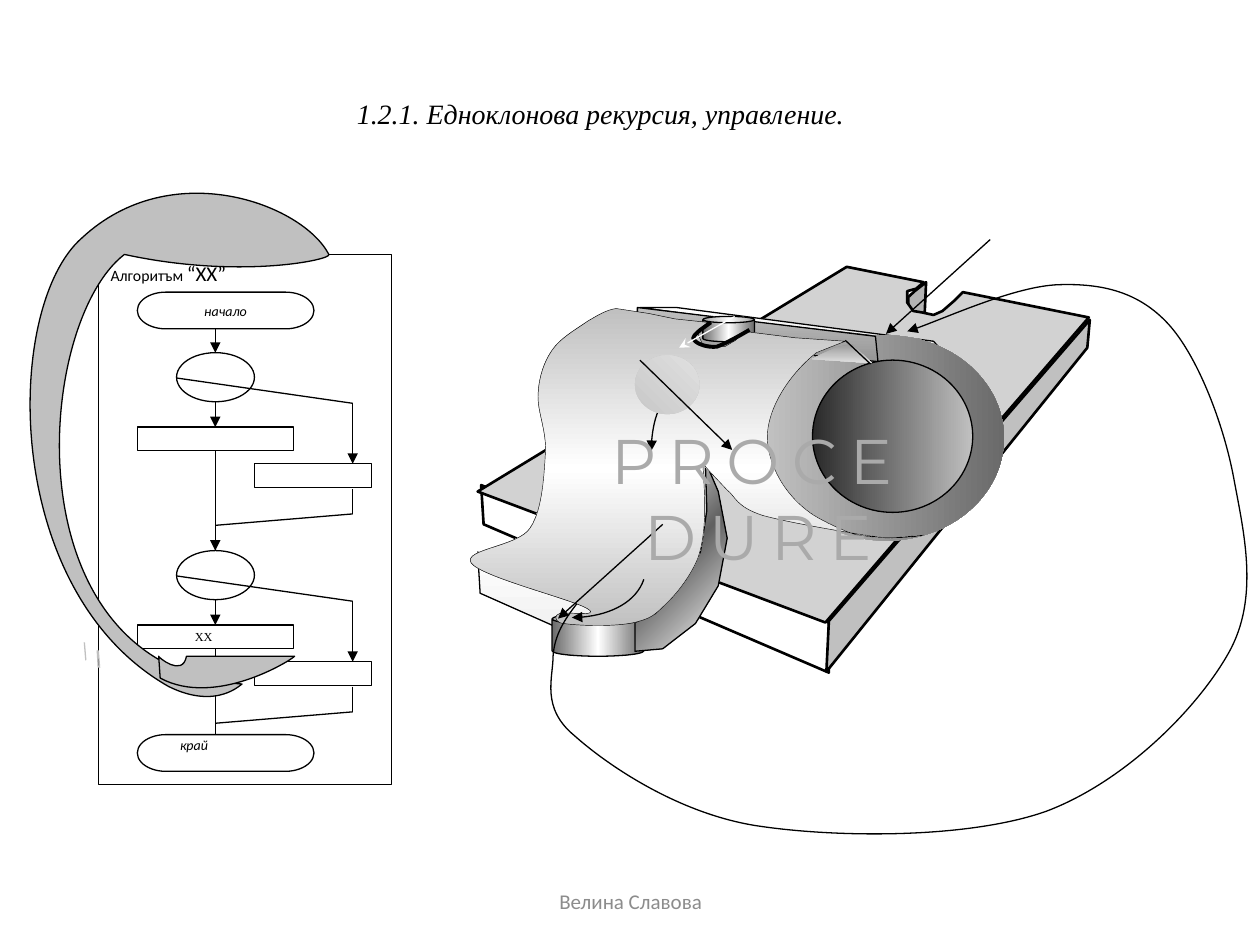
from lxml import etree
from pptx import Presentation
from pptx import util as u
from pptx.dml.color import RGBColor
from pptx.enum import shapes, text
from pptx.oxml.ns import qn

KIND, MID, HALF = shapes.MSO_SHAPE, text.PP_ALIGN.CENTER, text.MSO_ANCHOR.MIDDLE
METAL = (0, "6A6A6A", "FFFFFF", "6A6A6A")
ARCH = [(1.92, 5.43), (0.07, 5.3, 0.27, 2.57, 0.99, 2.02), (1.91, 2.22, 2.64, 2.06, 2.61, 2.02),
        (2.4, 1.62, 1.36, 1.23, 0.65, 1.89), (0.03, 2.43, 0, 4.69, 1.34, 5.45), (1.73, 5.64, 1.92, 5.42, 1.92, 5.43)]
HEAD = [(1.48, 5.21), (1.45, 5.38, 1.25, 5.21, 1.26, 5.21), (1.27, 5.38),
        (1.71, 5.62, 2.31, 5.24, 2.34, 5.21)]
FRONT = [(3.82, 3.85), (3.84, 4.16), (6.58, 5.34), (6.58, 4.94)]
SIDE = [(6.58, 4.93), (8.65, 2.54), (8.63, 2.76), (6.56, 5.33)]
NOTCH = [(7.35, 2.24), (7.26, 2.31), (7.21, 2.36), (7.21, 2.43), (7.24, 2.48), (7.29, 2.5), (7.34, 2.5)]
TOP = [(3.79, 3.9), (6.72, 2.12), (7.33, 2.24), (7.27, 2.29), (7.2, 2.31), (7.2, 2.4), (7.25, 2.47),
       (7.32, 2.48), (7.41, 2.5), (7.48, 2.47), (7.57, 2.39), (7.64, 2.32), (8.64, 2.52), (6.55, 4.94)]
STRIP = [(5.08, 2.44), (5.37, 2.44), (7.41, 2.71), (7.6, 2.92), (7.19, 2.71), (6.96, 2.67), (5.99, 2.56),
         (5.86, 2.58), (5.7, 2.56), (5.81, 2.54)]
WALL = [(5.06, 2.44), (6.95, 2.67), (6.97, 2.87), (5.06, 2.69)]
LIP = [(6.76, 2.73), (6.92, 2.88), (6.44, 2.85), (6.63, 2.76)]
TAB = [(3.79, 4.38), (3.81, 4.71), (4.69, 5.1), (4.69, 4.77)]
CURL = [(5.6, 3.66), (5.7, 3.9), (5.77, 4.27), (5.7, 4.65), (5.52, 4.95), (5.26, 5.15), (5.04, 5.17),
        (5.04, 4.94), (5.2, 4.87), (5.4, 4.65), (5.56, 4.38), (5.61, 4.05)]
SHEET = [(4.89, 2.45), (4.81, 2.46, 4.75, 2.5, 4.66, 2.55), (4.58, 2.61, 4.45, 2.68, 4.38, 2.78),
         (4.32, 2.87, 4.28, 2.99, 4.27, 3.12), (4.26, 3.25, 4.33, 3.39, 4.33, 3.57),
         (4.32, 3.74, 4.31, 4.04, 4.21, 4.19), (4.12, 4.34, 3.67, 4.36, 3.74, 4.47),
         (3.82, 4.58, 4.55, 4.76, 4.66, 4.83), (4.78, 4.9, 4.48, 4.85, 4.44, 4.87),
         (4.4, 4.88, 4.4, 4.92, 4.44, 4.94), (4.48, 4.96, 4.9, 4.99, 5.08, 4.93),
         (5.18, 4.9, 5.22, 4.86, 5.3, 4.78), (5.38, 4.7, 5.49, 4.56, 5.54, 4.43),
         (5.62, 4.2, 5.59, 3.9, 5.58, 3.68), (5.64, 3.75), (5.77, 3.89), (5.84, 3.94, 5.84, 4.02, 6.05, 4.09),
         (6.26, 4.15, 6.83, 4.25, 7.05, 4.27), (7.33, 4.25), (7.2, 4.28, 6.9, 4.27, 6.78, 4.24),
         (6.67, 4.2, 6.56, 4.15, 6.46, 4.09), (6.2, 3.92, 6.09, 3.65, 6.09, 3.47),
         (6.09, 3.25, 6.25, 2.98, 6.48, 2.8), (6.71, 2.71), (6.31, 2.68), (5.9, 2.63), (5.84, 2.7),
         (5.75, 2.75), (5.58, 2.74), (5.53, 2.63), (5.62, 2.56), (5.36, 2.53), (5.15, 2.49)]
RIM = [(5.64, 2.56), (5.56, 2.62), (5.53, 2.64, 5.48, 2.68, 5.51, 2.7),
       (5.53, 2.73, 5.61, 2.76, 5.69, 2.75), (5.76, 2.73, 5.91, 2.64, 5.95, 2.62)]
DROP = [(5.37, 3.13), (5.26, 3.13, 5.17, 3.33, 5.17, 3.58)]
BEND = [(5.11, 4.6), (5.05, 4.77, 4.82, 4.9, 4.54, 4.9)]
LOOP = [(4.58, 4.79), (4.49, 4.91, 4.4, 5.03, 4.39, 5.21), (4.39, 5.38, 4.29, 5.62, 4.56, 5.84),
        (4.82, 6.07, 5.37, 6.45, 5.99, 6.55), (6.61, 6.65, 7.67, 6.66, 8.3, 6.44),
        (8.92, 6.21, 9.5, 5.63, 9.75, 5.18), (10, 4.74, 9.87, 4.22, 9.79, 3.79),
        (9.71, 3.35, 9.5, 2.82, 9.27, 2.57), (9.04, 2.32, 8.75, 2.25, 8.4, 2.26), (8.06, 2.27, 7.4, 2.57, 7.2, 2.63)]

def cm(inch):
    """Turn inches into a length given in centimetres."""
    return u.Cm(round(inch * 2.54, 2))

def hue(code):
    """Turn a hex string into a colour."""
    return RGBColor.from_string(code)

def blend(item, angle, *codes):
    """Fill an item with an even linear gradient."""
    item.fill.gradient()
    grad = item._element.spPr.find(qn("a:gradFill"))
    grad.find(qn("a:lin")).set("ang", str(angle * 60000))
    stops = grad.find(qn("a:gsLst"))
    for old in list(stops):
        stops.remove(old)
    for i, code in enumerate(codes):
        stop = etree.SubElement(stops, qn("a:gs"), pos=str(100000 * i // (len(codes) - 1)))
        etree.SubElement(stop, qn("a:srgbClr"), val=code)

def stroke(item, code, width, tip=None):
    """Set an item's line and arrowhead."""
    if not width:
        return item.line.fill.background()
    item.line.color.rgb, item.line.width = hue(code), u.Pt(width)
    if tip:
        etree.SubElement(item._element.spPr.find(qn("a:ln")), qn("a:tailEnd"), type=tip)

def paint(item, fill, width, tip=None):
    """Set fill, line and shadow of a shape."""
    if fill is None:
        item.fill.background()
    elif isinstance(fill, tuple):
        blend(item, *fill)
    else:
        item.fill.solid()
        item.fill.fore_color.rgb = hue(fill)
    stroke(item, "000000", width, tip)
    item.shadow.inherit = False
    return item

def shape(slide, kind, box, fill="FFFFFF", width=0.75):
    """Add a preset shape."""
    return paint(slide.shapes.add_shape(kind, *map(cm, box)), fill, width)

def free(slide, steps, fill=None, width=0.75, tip=None):
    """Add an outline of lines and cubic curves, closed when it has a fill."""
    dots = [(cm(s[i]), cm(s[i + 1])) for s in steps for i in range(0, len(s), 2)]
    form = slide.shapes.build_freeform(*dots[0], scale=1.0)
    form.add_line_segments(dots[1:], close=fill is not None)
    item = form.convert_to_shape()
    nodes = iter(list(item._element.spPr.iter(qn("a:lnTo"))))
    for step in steps[1:]:
        node = next(nodes)
        if len(step) == 6:
            curve = etree.Element(qn("a:cubicBezTo"))
            node.addprevious(curve)
            for part in (node, next(nodes), next(nodes)):
                curve.append(part[0])
                part.getparent().remove(part)
    return paint(item, fill, width, tip)

def line(slide, x1, y1, x2, y2, tip=None, code="000000"):
    """Add a straight line or arrow."""
    item = slide.shapes.add_connector(shapes.MSO_CONNECTOR.STRAIGHT, *map(cm, (x1, y1, x2, y2)))
    stroke(item, code, 0.75, tip)
    etree.SubElement(item._element.spPr, qn("a:effectLst"))

def write(item, runs, font="Calibri", code="000000", slant=False, align=text.PP_ALIGN.LEFT,
          anchor=text.MSO_ANCHOR.TOP, wrap=True):
    """Write runs of words and sizes into an item."""
    frame = item.text_frame
    frame.word_wrap, frame.vertical_anchor = wrap, anchor
    para = frame.paragraphs[0]
    para.alignment = align
    for words, size in runs:
        run = para.add_run()
        run.text = words
        run.font.name, run.font.size, run.font.italic = font, u.Pt(size), slant
        run.font.color.rgb = hue(code)
    return para

def label(slide, box, words, size, **look):
    """Add a text box with one run."""
    return write(slide.shapes.add_textbox(*map(cm, box)), [(words, size)], **look)

def stage(slide, y):
    """Add one branching step of the flow chart."""
    shape(slide, KIND.OVAL, (1.4, y, 0.62, 0.39))
    for x, drop in ((1.09, 0.59), (2.02, 0.88)):
        shape(slide, KIND.RECTANGLE, (x, y + drop, 1.24 if x < 2 else 0.93, 0.19))
    for x1, a, x2, b, tip in ((1.71, 0.39, 1.71, 0.59, "triangle"), (1.4, 0.2, 2.8, 0.4, None),
                              (2.8, 0.4, 2.8, 0.88, "triangle"), (1.71, 0.78, 1.71, 1.57, None),
                              (2.8, 1.08, 2.8, 1.28, None), (2.8, 1.28, 1.71, 1.37, None)):
        line(slide, x1, y + a, x2, y + b, tip)

def chart(slide):
    """Add the flow chart with its recursive arrow."""
    write(shape(slide, KIND.RECTANGLE, (0.78, 2.02, 2.33, 4.21)), [("Алгоритъм ", 9), ("“XX”", 12)])
    start = shape(slide, KIND.FLOWCHART_TERMINATOR, (1.09, 2.32, 1.4, 0.29))
    write(start, [("начало", 8)], slant=True, align=MID, anchor=HALF)
    line(slide, 1.71, 2.61, 1.71, 2.8, "triangle")
    stage(slide, 2.8)
    line(slide, 1.71, 4.17, 1.71, 4.37, "triangle")
    stage(slide, 4.37)
    shape(slide, KIND.FLOWCHART_TERMINATOR, (1.09, 5.83, 1.4, 0.29))
    label(slide, (1.45, 4.95, 1.34, 0.39), "ХX", 7, font="Times New Roman")
    for x, y in ((0.77, 5.16), (0.67, 5.1), (0.78, 5.16)):
        line(slide, x, y, x + 0.01, y + 0.14, code="C0C0C0")
    label(slide, (1.33, 5.8, 1.32, 0.42), "край", 8, slant=True)
    for steps in (ARCH, HEAD):
        free(slide, steps, "C0C0C0")

def device(slide):
    """Add the base plate and the rolled sheet."""
    for steps, fill in ((FRONT, "FFFFFF"), (SIDE, "C0C0C0"), (NOTCH, "B4B4B4"), (TOP, "D2D2D2")):
        free(slide, steps, fill, 1.5)
    free(slide, STRIP, (90, "FFFFFF", "E0E0E0"))
    shape(slide, KIND.OVAL, (6.1, 2.66, 1.87, 1.63), (0, "C0C0C0", "6A6A6A"), 0)
    shape(slide, KIND.OVAL, (6.45, 2.86, 1.27, 1.21), (0, "2A2A2A", "C0C0C0"))
    free(slide, WALL, (90, "C0C0C0", "969696"))
    shape(slide, KIND.CAN, (5.58, 2.51, 0.41, 0.2), METAL)
    free(slide, LIP, (90, "989898", "E0E0E0"), 0)
    free(slide, TAB, (90, "FFFFFF", "EEEEEE"))
    shape(slide, KIND.CAN, (4.38, 4.87, 0.73, 0.34), METAL)
    free(slide, CURL, (45, "FFFFFF", "606060", "FFFFFF"))
    free(slide, SHEET, (90, "C0C0C0", "FFFFFF", "C0C0C0"), 0.25)
    free(slide, RIM, width=2.25)
    line(slide, 5.83, 2.51, 5.39, 2.76, "stealth", "FFFFFF")
    free(slide, DROP, tip="triangle")
    shape(slide, KIND.OVAL, (5.04, 2.82, 0.51, 0.47), (315, "C8C8C8", "E0E0E0"), 0)
    free(slide, BEND, tip="triangle")
    line(slide, 6.71, 2.7, 6.91, 2.89)
    for ends in ((5.08, 2.86, 5.81, 3.57), (7.86, 1.9, 7.03, 2.65), (5.26, 4.16, 4.43, 4.91)):
        line(slide, *ends, "triangle")

def main():
    """Build and save the slide."""
    deck = Presentation()
    deck.slide_width, deck.slide_height = cm(10), cm(7.5)
    slide = deck.slides.add_slide(deck.slide_layouts[5])
    title = slide.shapes.title
    title.left, title.top, title.width, title.height = map(cm, (2.4, 0.72, 4.73, 0.36))
    write(title, [("1.2.1. Едноклонова рекурсия, управление.", 16)], "Times New Roman",
          slant=True, align=MID, anchor=HALF, wrap=False)
    chart(slide)
    device(slide)
    word = label(slide, (4.7, 3.3, 2.63, 0.69), "PROCEDURE", 36, font="Montserrat", code="AAAAAA", align=MID, wrap=False)
    word.runs[0].font._element.set("spc", "720")
    free(slide, LOOP, tip="triangle")
    label(slide, (3.42, 6.95, 3.17, 0.4), "Велина Славова", 12, code="8C8C8C", align=MID, anchor=HALF)
    deck.save("out.pptx")

main()
